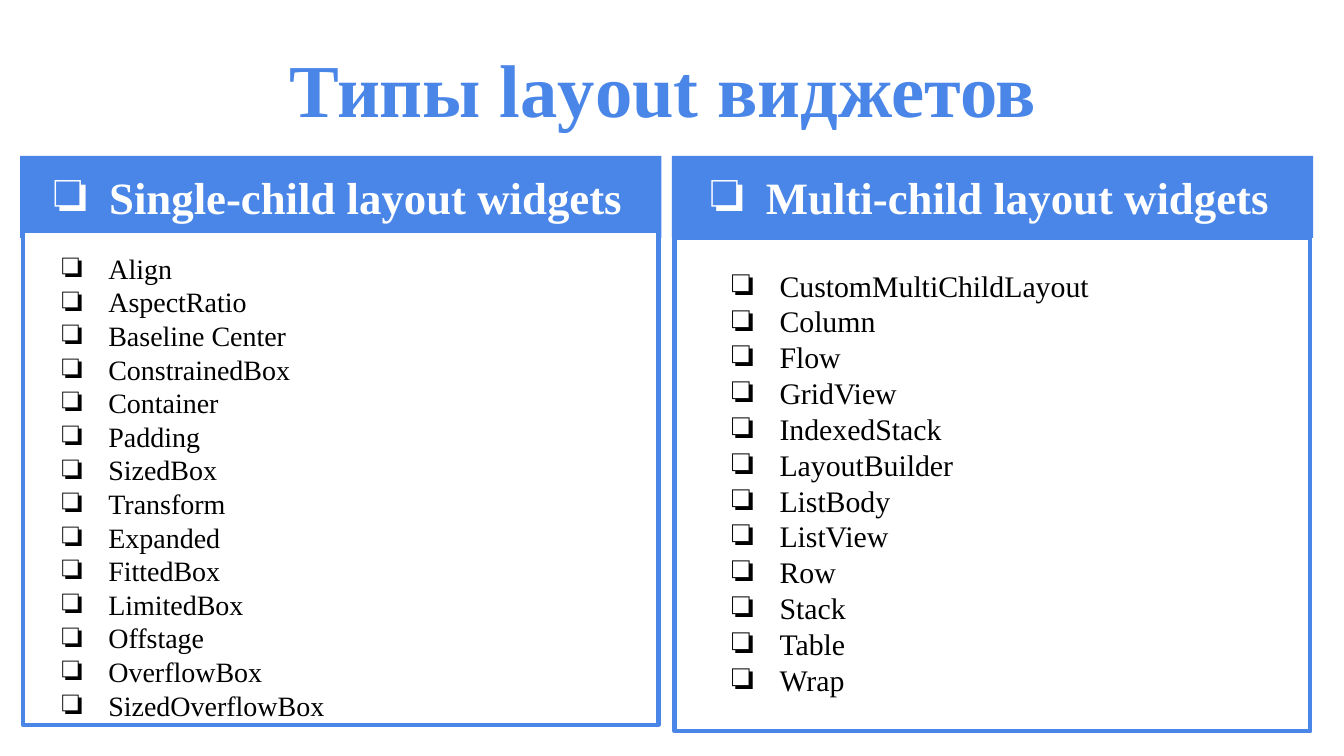
from dataclasses import dataclass

from lxml.etree import SubElement
from pptx import Presentation
from pptx.dml.color import RGBColor
from pptx.enum.shapes import MSO_SHAPE
from pptx.enum.text import MSO_ANCHOR, PP_ALIGN
from pptx.oxml.ns import qn
from pptx.util import Pt


@dataclass(frozen=True)
class Theme:
    font: str = "Times New Roman"
    blue: RGBColor = RGBColor(0x4A, 0x86, 0xE8)
    white: RGBColor = RGBColor(0xFF, 0xFF, 0xFF)
    black: RGBColor = RGBColor(0x00, 0x00, 0x00)
    title_size: int = 40
    header_size: int = 24
    inset: float = 7.2


theme = Theme()


def write_lines(shape, lines, size, color, bold=False, align=PP_ALIGN.LEFT,
                anchor=MSO_ANCHOR.TOP, hanging=None, right_inset=theme.inset):
    frame = shape.text_frame
    frame.word_wrap = True
    frame.vertical_anchor = anchor
    frame.margin_left = frame.margin_top = frame.margin_bottom = Pt(theme.inset)
    frame.margin_right = Pt(right_inset)
    frame.text = "\n".join(lines)
    for paragraph in frame.paragraphs:
        paragraph.alignment = align
        paragraph.space_before = paragraph.space_after = Pt(0)
        paragraph.line_spacing = 1.0
        if hanging:
            properties = paragraph._p.get_or_add_pPr()
            properties.set("marL", str(Pt(36)))
            properties.set("indent", str(-Pt(hanging)))
            bullet_color = SubElement(properties, qn("a:buClr"))
            SubElement(bullet_color, qn("a:srgbClr"), val=str(color))
            SubElement(properties, qn("a:buSzPct"), val="100000")
            SubElement(properties, qn("a:buFont"), typeface=theme.font)
            SubElement(properties, qn("a:buChar"), char="❏")
        for run in paragraph.runs:
            run.font.name = theme.font
            run.font.size = Pt(size)
            run.font.bold = bold
            run.font.color.rgb = color


def add_box(left, top, width, height, fill, line=None):
    shape = slide.shapes.add_shape(
        MSO_SHAPE.RECTANGLE, Pt(left), Pt(top), Pt(width), Pt(height))
    shape.shadow.inherit = False
    shape.fill.solid()
    shape.fill.fore_color.rgb = fill
    if line is None:
        shape.line.fill.background()
    else:
        shape.line.color.rgb = line
        shape.line.width = Pt(2.25)
    return shape


presentation = Presentation()
presentation.slide_width = Pt(720)
presentation.slide_height = Pt(405)
slide = presentation.slides.add_slide(presentation.slide_layouts[5])

title = slide.shapes.title
title.left, title.top, title.width, title.height = Pt(24.5), Pt(14), Pt(671), Pt(66)
write_lines(title, ["Типы layout виджетов "], theme.title_size, theme.blue,
            bold=True, align=PP_ALIGN.CENTER, anchor=MSO_ANCHOR.MIDDLE)

columns = [
    {
        "header": "Single-child layout widgets",
        "left": 10.8, "panel_top": 124,
        "list_box": (15, 127.5, 319, 269), "size": 15, "hanging": 25.2,
        "widgets": ["Align", "AspectRatio", "Baseline Center", "ConstrainedBox",
                    "Container", "Padding", "SizedBox", "Transform", "Expanded",
                    "FittedBox", "LimitedBox", "Offstage", "OverflowBox",
                    "SizedOverflowBox"],
    },
    {
        "header": "Multi-child layout widgets",
        "left": 360, "panel_top": 127.5,
        "list_box": (374.5, 136, 242, 247), "size": 16, "hanging": 25.9,
        "widgets": ["CustomMultiChildLayout", "Column", "Flow", "GridView",
                    "IndexedStack", "LayoutBuilder", "ListBody", "ListView",
                    "Row", "Stack", "Table", "Wrap"],
    },
]

for column in columns:
    header = add_box(column["left"], 83.5, 343.5, 44, theme.blue)
    write_lines(header, [column["header"]], theme.header_size, theme.white,
                bold=True, align=PP_ALIGN.CENTER, hanging=30, right_inset=16.5)

for column in columns:
    add_box(column["left"] + 1.4, column["panel_top"], 340.6, 264.3,
            theme.white, theme.blue)

for column in columns:
    widget_list = slide.shapes.add_textbox(*map(Pt, column["list_box"]))
    write_lines(widget_list, column["widgets"], column["size"], theme.black,
                hanging=column["hanging"])

presentation.save("out.pptx")
